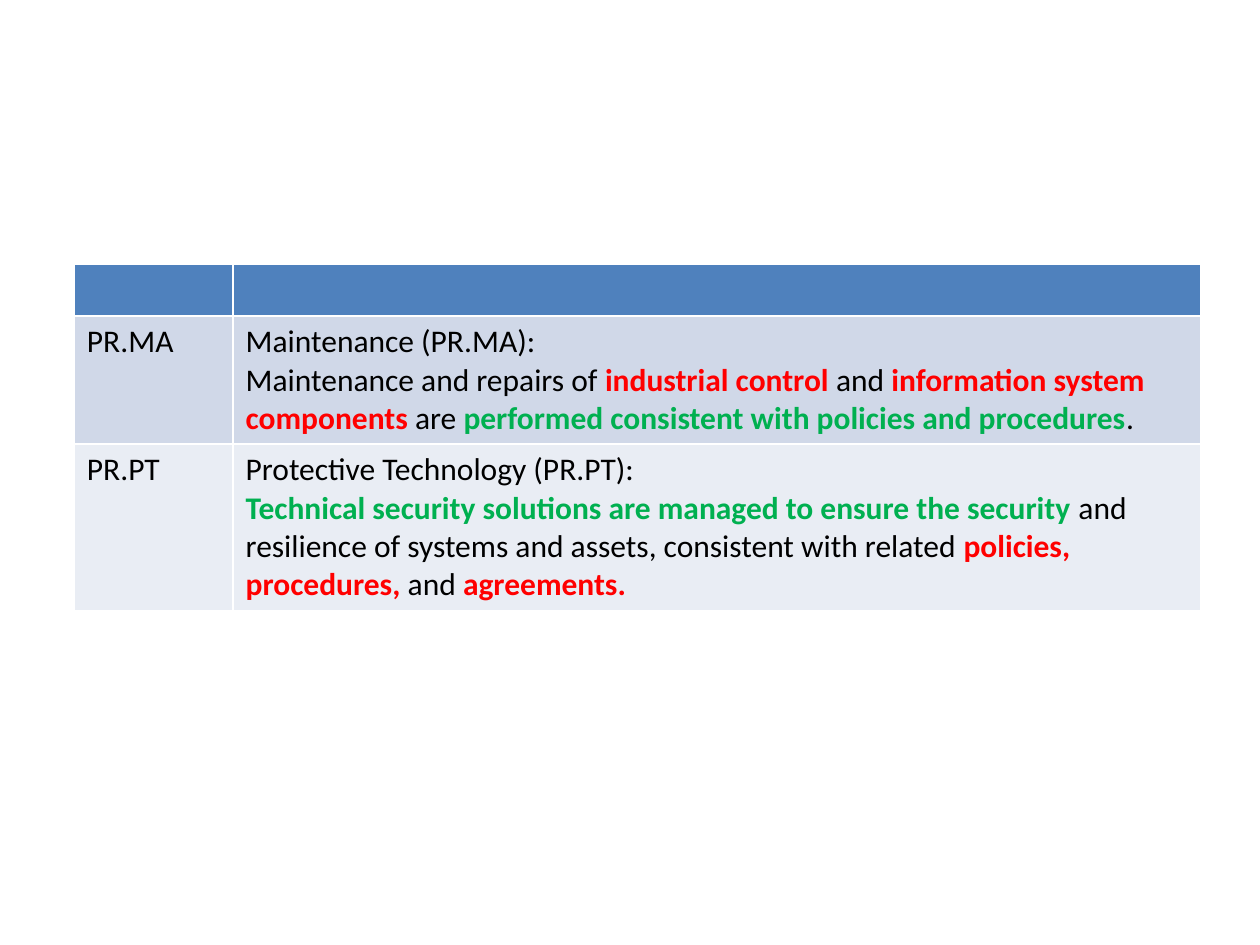
import pptx
import pptx.util
import pptx.dml.color
import pptx.enum.text

Inches = pptx.util.Inches
RGB = pptx.dml.color.RGBColor.from_string
theme = {
    "font": "Calibri",
    "size": 18,
    "text": "000000",
    "red": "FF0000",
    "green": "00B050",
    "fills": ["4F81BD", "D0D8E8", "E9EDF4"],
}


def write(para, text, color="text", bold=False):
    run = para.add_run()
    run.text = text
    run.font.name = theme["font"]
    run.font.size = pptx.util.Pt(theme["size"])
    run.font.bold = bold
    run.font.color.rgb = RGB(theme[color])


deck = pptx.Presentation()
deck.slide_width = Inches(10)
deck.slide_height = Inches(7.5)
slide = deck.slides.add_slide(deck.slide_layouts[6])

widths = [1.26, 7.68]
heights = [0.41, 1, 1.3]
frame = slide.shapes.add_table(
    len(heights), len(widths), Inches(0.59), Inches(2.1),
    Inches(sum(widths)), Inches(sum(heights)),
)
table = frame.table
for column, width in zip(table.columns, widths):
    column.width = Inches(width)
for row, height, fill in zip(table.rows, heights, theme["fills"]):
    row.height = Inches(height)
    for cell in row.cells:
        cell.fill.solid()
        cell.fill.fore_color.rgb = RGB(fill)

items = [
    ("PR.MA", "Maintenance (PR.MA):", [
        ("Maintenance and repairs of ", "text"),
        ("industrial control ", "red"),
        ("and ", "text"),
        ("information system components", "red"),
        (" are ", "text"),
        ("performed consistent with policies and procedures", "green"),
        (".", "text"),
    ]),
    ("PR.PT", "Protective Technology (PR.PT):", [
        ("Technical security solutions are managed to ensure the security ", "green"),
        ("and resilience of systems and assets, consistent with related ", "text"),
        ("policies, procedures, ", "red"),
        ("and ", "text"),
        ("agreements.", "red"),
    ]),
]
for index, (code, title, parts) in enumerate(items, 1):
    write(table.cell(index, 0).text_frame.paragraphs[0], code)
    cell = table.cell(index, 1)
    cell.vertical_anchor = pptx.enum.text.MSO_ANCHOR.MIDDLE
    write(cell.text_frame.paragraphs[0], title)
    body = cell.text_frame.add_paragraph()
    for text, color in parts:
        write(body, text, color=color, bold=color != "text")

deck.save("out.pptx")
